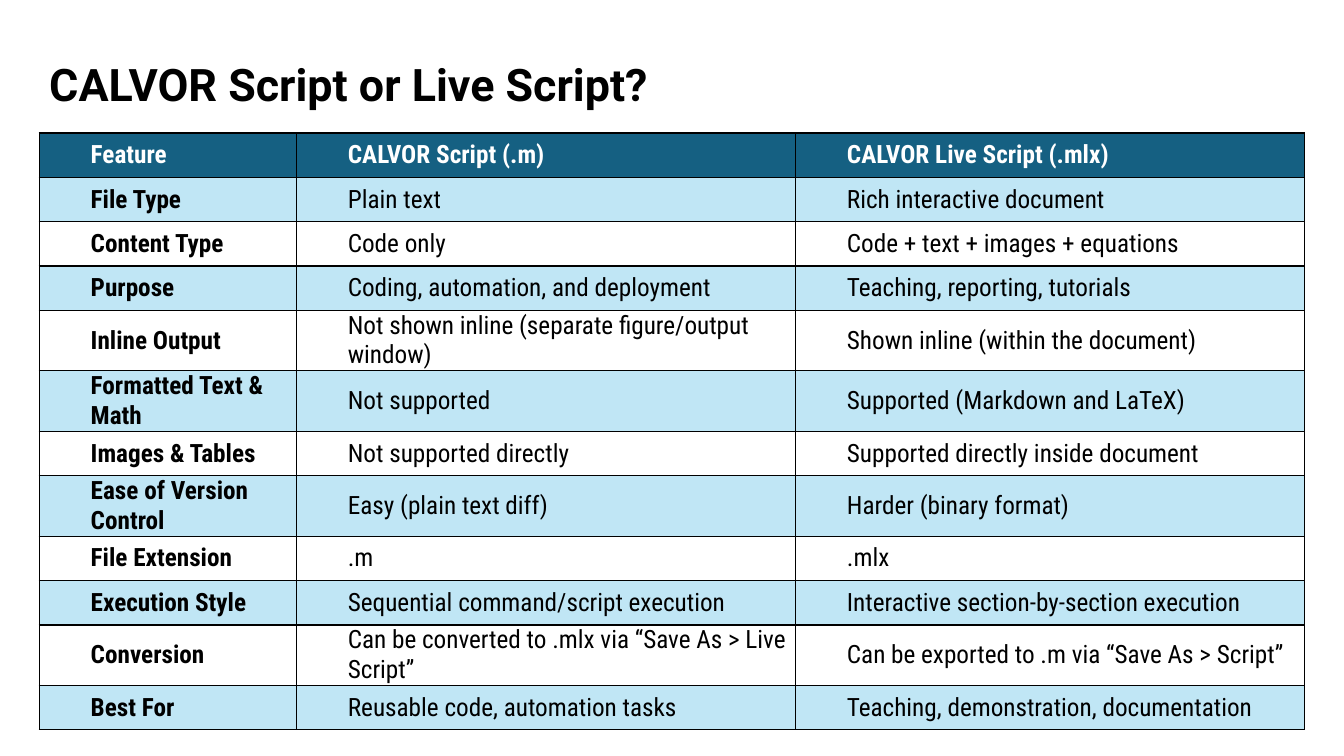
"""Build a slide that compares plain scripts with live scripts."""
from dataclasses import dataclass

from lxml import etree
from pptx import Presentation
from pptx.dml.color import RGBColor
from pptx.enum.text import MSO_ANCHOR
from pptx.oxml.ns import qn
from pptx.util import Inches, Pt

MIDDLE = MSO_ANCHOR.MIDDLE

ROWS = [
    ("Feature", "CALVOR Script (.m)", "CALVOR Live Script (.mlx)"),
    ("File Type", "Plain text", "Rich interactive document"),
    ("Content Type", "Code only", "Code + text + images + equations"),
    ("Purpose", "Coding, automation, and deployment", "Teaching, reporting, tutorials"),
    ("Inline Output", "Not shown inline (separate figure/output window)",
     "Shown inline (within the document)"),
    ("Formatted Text & Math", "Not supported", "Supported (Markdown and LaTeX)"),
    ("Images & Tables", "Not supported directly", "Supported directly inside document"),
    ("Ease of Version Control", "Easy (plain text diff)", "Harder (binary format)"),
    ("File Extension", ".m", ".mlx"),
    ("Execution Style", "Sequential command/script execution",
     "Interactive section-by-section execution"),
    ("Conversion", "Can be converted to .mlx via “Save As > Live Script”",
     "Can be exported to .m via “Save As > Script”"),
    ("Best For", "Reusable code, automation tasks", "Teaching, demonstration, documentation"),
]
COLUMN_WIDTHS = (2.55, 4.95, 5.05)
ROW_HEIGHT = 0.44


@dataclass(frozen=True)
class Theme:
    """Colours, fonts and sizes of the slide."""
    ink: str = "000000"
    header_ink: str = "FFFFFF"
    header_fill: str = "156082"
    band_fill: str = "C0E6F5"
    title_font: str = "Roboto"
    table_font: str = "Roboto Condensed"
    title_size: int = 32
    table_size: int = 18
    border_width: int = 1


class SlideBuilder:
    """Draw titles and tables on one slide in one theme."""

    def __init__(self, slide, theme):
        self.slide = slide
        self.theme = theme

    def format_text(self, para, font, size, color, bold):
        """Format every run of a paragraph."""
        for span in para.runs:
            span.font.name = font
            span.font.size = Pt(size)
            span.font.bold = bold
            span.font.color.rgb = RGBColor.from_string(color)

    def add_title(self, text, left, top, width, height):
        """Add the slide title."""
        box = self.slide.shapes.add_textbox(
            Inches(left), Inches(top), Inches(width), Inches(height))
        frame = box.text_frame
        frame.word_wrap = True
        frame.vertical_anchor = MIDDLE
        frame.text = text
        para = frame.paragraphs[0]
        para.line_spacing = 0.9
        self.format_text(para, self.theme.title_font, self.theme.title_size,
                         self.theme.ink, True)

    def add_table(self, rows, left, top, widths, row_height):
        """Add a banded table with a header row and bold first column."""
        frame = self.slide.shapes.add_table(
            len(rows), len(widths), Inches(left), Inches(top),
            Inches(sum(widths)), Inches(row_height * len(rows)))
        table = frame.table
        for column, width in zip(table.columns, widths):
            column.width = Inches(width)
        for row_index, texts in enumerate(rows):
            table.rows[row_index].height = Inches(row_height)
            for column_index, text in enumerate(texts):
                self.fill_cell(table.cell(row_index, column_index), text,
                               row_index, column_index)

    def fill_cell(self, cell, text, row_index, column_index):
        """Write and style one table cell."""
        theme = self.theme
        is_header = row_index == 0
        cell.margin_left = cell.margin_right = Inches(0.01)
        cell.margin_top = cell.margin_bottom = 0
        cell.vertical_anchor = MIDDLE
        self.add_borders(cell)
        if is_header or row_index % 2:
            cell.fill.solid()
            cell.fill.fore_color.rgb = RGBColor.from_string(
                theme.header_fill if is_header else theme.band_fill)
        else:
            cell.fill.background()
        cell.text_frame.text = text
        para = cell.text_frame.paragraphs[0]
        para.level = 1
        properties = para._p.get_or_add_pPr()
        properties.set("marL", str(Inches(0.5)))
        properties.set("indent", "0")
        self.format_text(para, theme.table_font, theme.table_size,
                         theme.header_ink if is_header else theme.ink,
                         is_header or column_index == 0)

    def add_borders(self, cell):
        """Draw a solid line on all four sides of a cell."""
        properties = cell._tc.get_or_add_tcPr()
        for side in ("a:lnL", "a:lnR", "a:lnT", "a:lnB"):
            line = etree.SubElement(properties, qn(side),
                                    w=str(Pt(self.theme.border_width)))
            fill = etree.SubElement(line, qn("a:solidFill"))
            etree.SubElement(fill, qn("a:srgbClr"), val=self.theme.ink)


def main():
    """Build and save the deck."""
    deck = Presentation()
    deck.slide_width, deck.slide_height = Inches(13.33), Inches(7.5)
    page = deck.slides.add_slide(deck.slide_layouts[6])
    builder = SlideBuilder(page, Theme())
    builder.add_title("CALVOR Script or Live Script?", 0.39, 0.4, 12.03, 0.92)
    builder.add_table(ROWS, 0.39, 1.32, COLUMN_WIDTHS, ROW_HEIGHT)
    deck.save("out.pptx")


if __name__ == "__main__":
    main()
